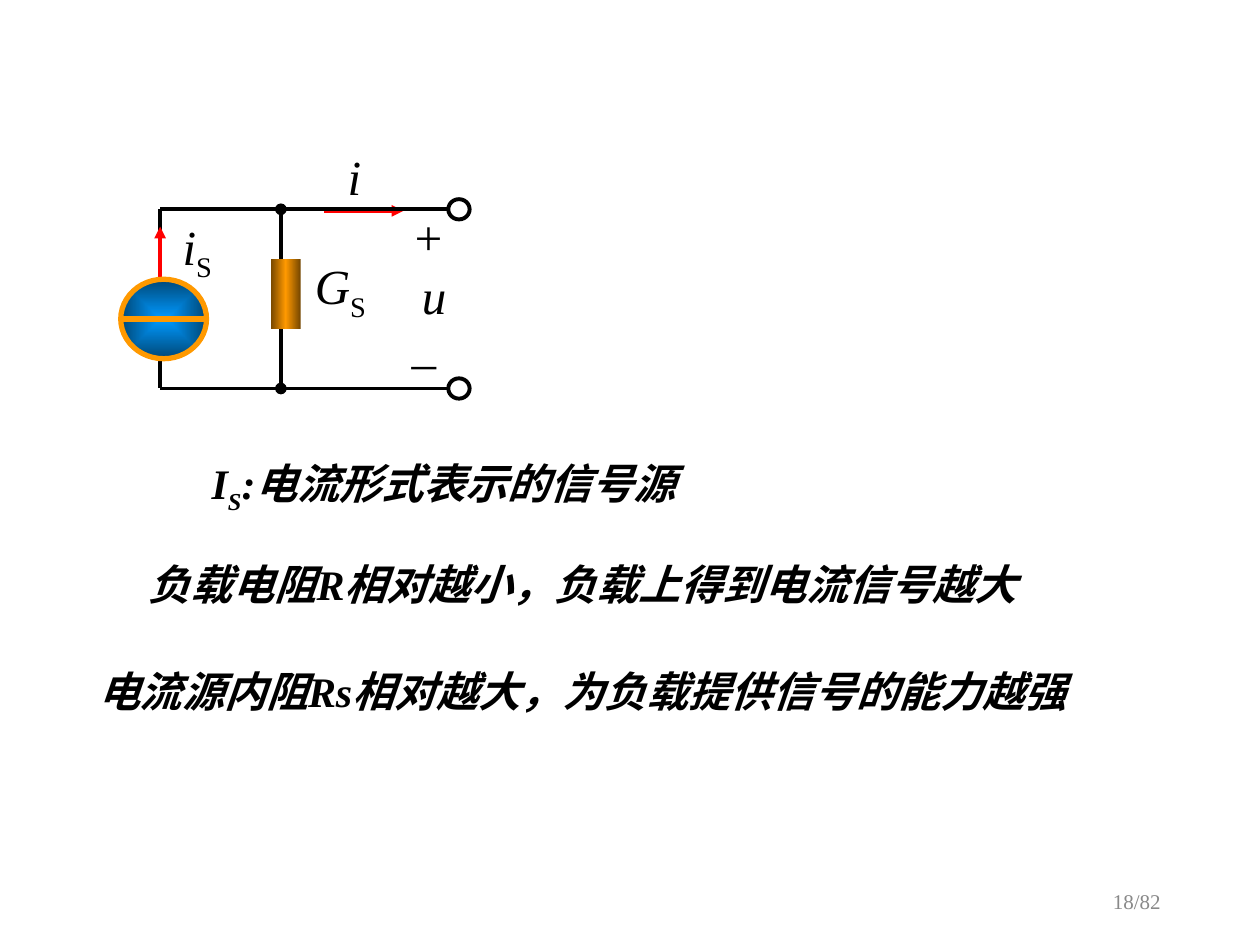
from pptx import Presentation
from pptx.dml.color import RGBColor
from pptx.enum.shapes import MSO_CONNECTOR, MSO_SHAPE
from pptx.enum.text import MSO_ANCHOR, PP_ALIGN
from pptx.oxml import parse_xml
from pptx.oxml.ns import nsdecls
from pptx.util import Pt

STRAIGHT = MSO_CONNECTOR.STRAIGHT
OVAL, RECT = MSO_SHAPE.OVAL, MSO_SHAPE.RECTANGLE
TOP, MIDDLE = MSO_ANCHOR.TOP, MSO_ANCHOR.MIDDLE
LEFT, CENTER, RIGHT = PP_ALIGN.LEFT, PP_ALIGN.CENTER, PP_ALIGN.RIGHT

FONT = "Times New Roman"
BLACK, RED, ORANGE, GREY = "000000", "FF0000", "FF9900", "898989"
BROWN, BLUE, NAVY = "764700", "0099FF", "004776"
WIRE_LEFT, WIRE_MID, WIRE_RIGHT = 91.5, 160.5, 257
WIRE_TOP, WIRE_BOTTOM = 119.6, 222
FROM_CENTRE = ('<a:path path="rect"><a:fillToRect l="50000" t="50000" '
               'r="50000" b="50000"/></a:path>')
ACROSS = '<a:lin ang="0" scaled="1"/>'


def rgb(value):
    return RGBColor.from_string(value)


def add_text(slide, text, x, y, w, h, size=28, color=BLACK, bold=False,
             italic=True, sub="", sub_italic=False, rest="",
             align=LEFT, anchor=TOP, wrap=True):
    tf = slide.shapes.add_textbox(Pt(x), Pt(y), Pt(w), Pt(h)).text_frame
    tf.word_wrap = wrap
    tf.vertical_anchor = anchor
    p = tf.paragraphs[0]
    p.alignment = align
    for part, slanted in ((text, italic), (sub, sub_italic), (rest, italic)):
        if not part:
            continue
        r = p.add_run()
        r.text = part
        r.font.name = FONT
        r.font.size = Pt(size)
        r.font.bold = bold
        r.font.italic = slanted
        r.font.color.rgb = rgb(color)
        if part == sub:
            r.font._element.set("baseline", "-25000")


def add_line(slide, x1, y1, x2, y2, color=BLACK, width=2.25, head=None, tail=None):
    sp = slide.shapes.add_connector(STRAIGHT, Pt(x1), Pt(y1), Pt(x2), Pt(y2))
    sp.line.color.rgb = rgb(color)
    sp.line.width = Pt(width)
    for tag, kind in (("headEnd", head), ("tailEnd", tail)):
        if kind:
            sp.line._get_or_add_ln().append(
                parse_xml(f'<a:{tag} {nsdecls("a")} type="{kind}"/>'))
    sp._element.spPr.append(parse_xml(f'<a:effectLst {nsdecls("a")}/>'))


def add_shape(slide, kind, x, y, w, h, line=None, width=2.25, stops=(), shade=""):
    sp = slide.shapes.add_shape(kind, Pt(x), Pt(y), Pt(w), Pt(h))
    sp.shadow.inherit = False
    if line:
        sp.line.color.rgb = rgb(line)
        sp.line.width = Pt(width)
    else:
        sp.line.fill.background()
    sp.fill.background()
    if stops:
        marks = "".join(f'<a:gs pos="{pos * 1000}"><a:srgbClr val="{color}"/></a:gs>'
                        for pos, color in stops)
        no_fill = sp._element.spPr.find(
            "{http://schemas.openxmlformats.org/drawingml/2006/main}noFill")
        no_fill.addprevious(parse_xml(
            f'<a:gradFill {nsdecls("a")} rotWithShape="1">'
            f'<a:gsLst>{marks}</a:gsLst>{shade}</a:gradFill>'))
        sp._element.spPr.remove(no_fill)


def add_circuit(slide):
    add_line(slide, 185, 120.5, 230.5, 120.5, RED, tail="triangle")
    add_line(slide, WIRE_MID, WIRE_TOP, WIRE_MID, WIRE_BOTTOM, head="oval", tail="oval")
    add_line(slide, WIRE_LEFT, WIRE_TOP, WIRE_LEFT, WIRE_BOTTOM)
    add_line(slide, WIRE_LEFT, 165.5, WIRE_LEFT, 129.5, RED, tail="triangle")
    for y in (WIRE_TOP, WIRE_BOTTOM):
        add_line(slide, WIRE_LEFT, y, WIRE_RIGHT, y)
        add_shape(slide, OVAL, 256.2, y - 5.8, 12.2, 11.6, BLACK)
    add_shape(slide, OVAL, 69, 159.6, 49, 45.4, ORANGE, 3,
              ((0, BLUE), (100, NAVY)), FROM_CENTRE)
    add_line(slide, 69, 182.3, 118, 182.3, ORANGE, 3)
    add_shape(slide, RECT, 154.8, 148.2, 17, 39.8,
              stops=((0, BROWN), (50, ORANGE), (100, BROWN)), shade=ACROSS)


def add_labels(slide):
    for text, sub, x, y, w, h in (
        ("i", "", 191.5, 80, 32.5, 41),
        ("G", "S", 172.8, 142.6, 45.5, 45.5),
        ("+", "", 228.2, 114.5, 39, 41),
        ("u", "", 234, 148.3, 39, 41),
        ("_", "", 228.2, 176.4, 39, 41),
        ("i", "S", 97.2, 120.2, 45.5, 45.5),
    ):
        add_text(slide, text, x, y, w, h, sub=sub)


def add_statement(slide, text, x, y, w, h, **fmt):
    add_text(slide, text, x, y, w, h, size=24, bold=True, align=CENTER,
             anchor=MIDDLE, wrap=False, **fmt)


def main():
    prs = Presentation()
    prs.slide_width, prs.slide_height = Pt(720), Pt(540)
    slide = prs.slides.add_slide(prs.slide_layouts[6])
    add_circuit(slide)
    add_labels(slide)
    add_statement(slide, "I", 111, 257.8, 285, 40.3, sub="S", sub_italic=True,
                  rest=":电流形式表示的信号源")
    add_statement(slide, "负载电阻R相对越小，负载上得到电流信号越大", 72, 315.4, 522, 36)
    add_statement(slide, "电流源内阻Rs相对越大，为负载提供信号的能力越强", 43.2, 376.6, 579, 36)
    add_text(slide, "18/82", 508.3, 500.4, 162, 28.8, size=12, color=GREY,
             italic=False, align=RIGHT, anchor=MIDDLE)
    prs.save("out.pptx")


if __name__ == "__main__":
    main()
